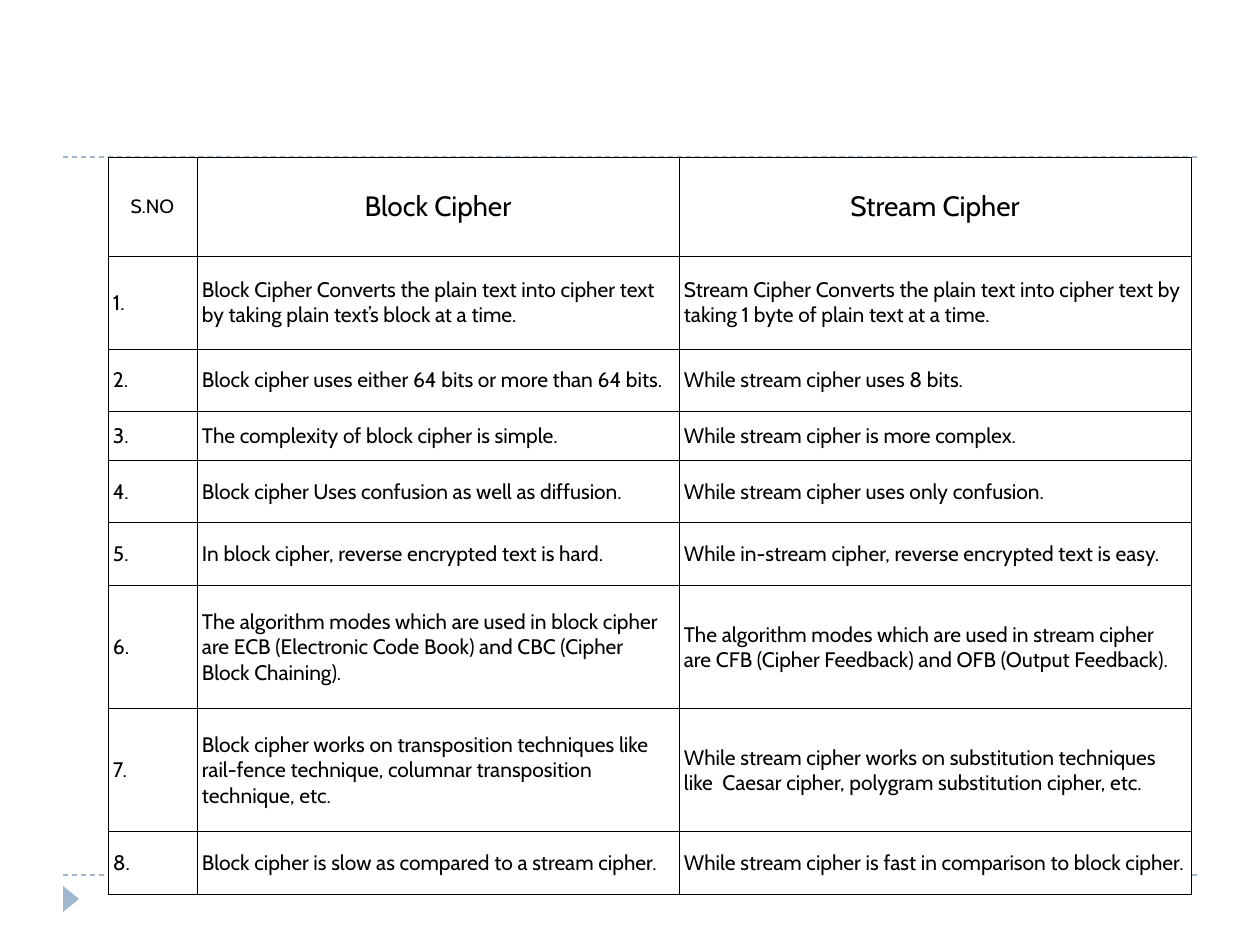
from lxml.etree import SubElement
from pptx import Presentation
from pptx.dml.color import RGBColor
from pptx.enum.dml import MSO_LINE
from pptx.enum.shapes import MSO_CONNECTOR, MSO_SHAPE
from pptx.enum.text import MSO_ANCHOR, PP_ALIGN
from pptx.oxml.ns import qn
from pptx.util import Pt

EMU_PER_PX = 914400 / 126
BLACK = RGBColor(0x00, 0x00, 0x00)
WHITE = RGBColor(0xFF, 0xFF, 0xFF)
SOFT_BLUE = RGBColor(0x9F, 0xB8, 0xCD)
FONT = "Cabin"

COLUMN_WIDTHS = [89, 482, 512]
ROW_HEIGHTS = [99, 93, 62, 50, 62, 63, 123, 123, 63]
HEADINGS = ["S.NO", "Block Cipher", "Stream Cipher"]
HEADING_SIZES = [11, 16, 16]
BODY_SIZE = 12
COMPARISONS = [
    ("Block Cipher Converts the plain text into cipher text by taking plain text’s block at a time.",
     "Stream Cipher Converts the plain text into cipher text by taking 1 byte of plain text at a time."),
    ("Block cipher uses either 64 bits or more than 64 bits.",
     "While stream cipher uses 8 bits."),
    ("The complexity of block cipher is simple.",
     "While stream cipher is more complex."),
    ("Block cipher Uses confusion as well as diffusion.",
     "While stream cipher uses only confusion."),
    ("In block cipher, reverse encrypted text is hard.",
     "While in-stream cipher, reverse encrypted text is easy."),
    ("The algorithm modes which are used in block cipher are ECB (Electronic Code Book) "
     "and CBC (Cipher Block Chaining).",
     "The algorithm modes which are used in stream cipher are CFB (Cipher Feedback) "
     "and OFB (Output Feedback)."),
    ("Block cipher works on transposition techniques like rail-fence technique, "
     "columnar transposition technique, etc.",
     "While stream cipher works on substitution techniques like  Caesar cipher, "
     "polygram substitution cipher, etc."),
    ("Block cipher is slow as compared to a stream cipher.",
     "While stream cipher is fast in comparison to block cipher."),
]


def px(length):
    return round(length * EMU_PER_PX)


def add_dashed_rule(slide, y):
    rule = slide.shapes.add_connector(MSO_CONNECTOR.STRAIGHT, px(63), px(y), px(1197), px(y))
    rule.line.color.rgb = SOFT_BLUE
    rule.line.width = Pt(0.75)
    rule.line.dash_style = MSO_LINE.DASH
    SubElement(rule._element.spPr, qn("a:effectLst"))


def add_corner_marker(slide):
    marker = slide.shapes.add_shape(MSO_SHAPE.ISOSCELES_TRIANGLE, px(58), px(891), px(26), px(16))
    marker.rotation = 90
    marker.shadow.inherit = False
    marker.fill.solid()
    marker.fill.fore_color.rgb = SOFT_BLUE
    marker.line.fill.background()


def set_borders(cell):
    properties = cell._tc.get_or_add_tcPr()
    for position, side in enumerate(("a:lnL", "a:lnR", "a:lnT", "a:lnB")):
        border = SubElement(properties, qn(side), w=str(Pt(0.45)))
        fill = SubElement(border, qn("a:solidFill"))
        SubElement(fill, qn("a:srgbClr"), val=str(BLACK))
        properties.insert(position, border)  # borders come before the fill


def fill_cell(cell, text, size, alignment):
    cell.fill.solid()
    cell.fill.fore_color.rgb = WHITE
    set_borders(cell)
    cell.vertical_anchor = MSO_ANCHOR.MIDDLE
    cell.margin_left = cell.margin_right = px(5)
    cell.margin_top = cell.margin_bottom = px(6)
    cell.text = text
    paragraph = cell.text_frame.paragraphs[0]
    paragraph.alignment = alignment
    paragraph.font.name = FONT
    paragraph.font.size = Pt(size)
    paragraph.font.bold = False
    paragraph.font.color.rgb = BLACK


def add_comparison_table(slide):
    table = slide.shapes.add_table(
        len(ROW_HEIGHTS), len(COLUMN_WIDTHS), px(108), px(157),
        px(sum(COLUMN_WIDTHS)), px(sum(ROW_HEIGHTS))).table
    table.first_row = table.horz_banding = False
    for column, width in zip(table.columns, COLUMN_WIDTHS):
        column.width = px(width)
    for row, height in zip(table.rows, ROW_HEIGHTS):
        row.height = px(height)

    # Header row
    for cell, heading, size in zip(table.rows[0].cells, HEADINGS, HEADING_SIZES):
        fill_cell(cell, heading, size, PP_ALIGN.CENTER)

    # Numbered comparisons
    for number, comparison in enumerate(COMPARISONS, start=1):
        for cell, text in zip(table.rows[number].cells, (f"{number}.", *comparison)):
            fill_cell(cell, text, BODY_SIZE, PP_ALIGN.LEFT)


def main():
    presentation = Presentation()
    presentation.slide_width = px(1260)
    presentation.slide_height = px(945)
    slide = presentation.slides.add_slide(presentation.slide_layouts[6])

    # Frame behind the table
    for y in (875, 157):
        add_dashed_rule(slide, y)
    add_corner_marker(slide)

    add_comparison_table(slide)
    presentation.save("out.pptx")


if __name__ == "__main__":
    main()
